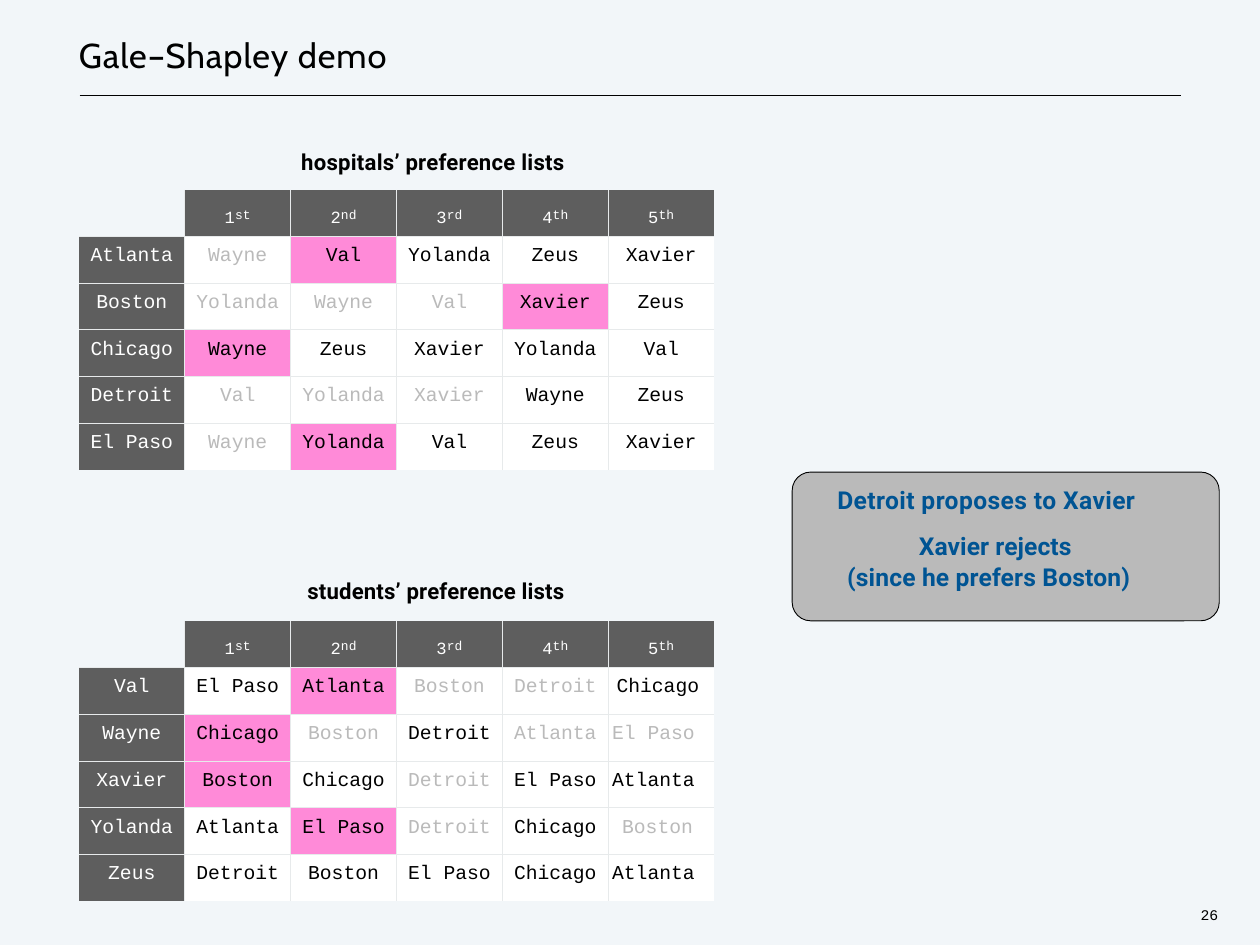
import dataclasses

import lxml.etree
import pptx
import pptx.dml.color
import pptx.enum.shapes
import pptx.enum.text
import pptx.oxml.ns
import pptx.util

Inches = pptx.util.Inches
Pt = pptx.util.Pt
ALIGN = pptx.enum.text.PP_ALIGN

BLACK, WHITE, DARK, GREY = "000000", "FFFFFF", "5E5E5E", "BABABA"
PAPER, PINK, GRID, BLUE = "F2F6F9", "FF8AD8", "E7EAEB", "005493"
MONO = "Courier New"
ORDINALS = ["st", "nd", "rd", "th", "th"]


@dataclasses.dataclass
class PreferenceTable:
    """Each row is a name and its choices; * marks a match, ~ a rejection."""
    top: float
    rows: list[str]
    # Right margin of each name in the last column, where it is right-aligned.
    last_margins: dict[str, float] = dataclasses.field(default_factory=dict)


@dataclasses.dataclass
class Label:
    text: str
    left: float
    top: float
    width: float
    height: float
    size: float
    font: str = "Roboto"
    bold: bool = True
    spacing: float = 0.15
    space_before: float = 1


TABLES = [
    PreferenceTable(2.14, [
        "Atlanta|~Wayne|*Val|Yolanda|Zeus|Xavier",
        "Boston|~Yolanda|~Wayne|~Val|*Xavier|Zeus",
        "Chicago|*Wayne|Zeus|Xavier|Yolanda|Val",
        "Detroit|~Val|~Yolanda|~Xavier|Wayne|Zeus",
        "El Paso|~Wayne|*Yolanda|Val|Zeus|Xavier",
    ]),
    PreferenceTable(7.01, [
        "Val|El Paso|*Atlanta|~Boston|~Detroit|Chicago",
        "Wayne|*Chicago|~Boston|Detroit|~Atlanta|~El Paso",
        "Xavier|*Boston|Chicago|~Detroit|El Paso|Atlanta",
        "Yolanda|Atlanta|*El Paso|~Detroit|Chicago|~Boston",
        "Zeus|Detroit|Boston|El Paso|Chicago|Atlanta",
    ], {"Chicago": 0.17, "El Paso": 0.22, "Atlanta": 0.22, "Boston": 0.24}),
]

LABELS = [
    Label("Gale–Shapley demo", 0.88, 0.38, 3.9, 0.49, 28, "Cabin", False, 0.8),
    Label("hospitals’ preference lists", 3.39, 1.67, 3.36, 0.33, 18, spacing=0.2),
    Label("students’ preference lists", 3.46, 6.51, 3.31, 0.33, 18),
    Label("26", 13.54, 10.22, 0.29, 0.23, 12, MONO, False, 0, 0.2),
]


def rgb(color: str) -> pptx.dml.color.RGBColor:
    return pptx.dml.color.RGBColor.from_string(color)


def write(paragraph, text: str, *, size: float, color: str = BLACK, font: str = MONO,
          bold: bool = False, spacing: float = 0, baseline: int = 0) -> None:
    """Add a run; spacing is in points, baseline in percent of the size."""
    run = paragraph.add_run()
    run.text = text
    run.font.size = Pt(size)
    run.font.name = font
    run.font.bold = bold
    run.font.color.rgb = rgb(color)
    properties = run._r.get_or_add_rPr()
    properties.set("spc", str(round(spacing * 100)))
    if baseline:
        properties.set("baseline", str(baseline * 1000))


def add_text_frame(slide, left: float, top: float, width: float, height: float):
    """Add a wrapping text box with no side margins and return its frame."""
    box = slide.shapes.add_textbox(Inches(left), Inches(top), Inches(width), Inches(height))
    frame = box.text_frame
    frame.word_wrap = True
    frame.margin_left = frame.margin_right = frame.margin_bottom = 0
    frame.margin_top = Inches(0.01)
    return frame


def indent(paragraph, left: float, first: float = 0) -> None:
    properties = paragraph._p.get_or_add_pPr()
    properties.set("marL", str(Inches(left)))
    properties.set("indent", str(Inches(first)))


def add_label(slide, label: Label) -> None:
    frame = add_text_frame(slide, label.left, label.top, label.width, label.height)
    paragraph = frame.paragraphs[0]
    paragraph.space_before = Pt(label.space_before)
    indent(paragraph, 0.01)
    write(paragraph, label.text, size=label.size, font=label.font,
          bold=label.bold, spacing=label.spacing)


def set_borders(cell, inner_sides: dict[str, bool]) -> None:
    """Draw a grid line on each inner side and none on the outer ones."""
    qn = pptx.oxml.ns.qn
    properties = cell._tc.get_or_add_tcPr()
    for position, (side, inner) in enumerate(inner_sides.items()):
        line = lxml.etree.Element(qn(f"a:ln{side}"), w=str(Pt(1)))
        if inner:
            fill = lxml.etree.SubElement(line, qn("a:solidFill"))
            lxml.etree.SubElement(fill, qn("a:srgbClr"), val=GRID)
        else:
            lxml.etree.SubElement(line, qn("a:noFill"))
        properties.insert(position, line)


def fill_cell(cell, entry: str, row: int, column: int, last_margins: dict[str, float]) -> None:
    cell.margin_left = cell.margin_right = cell.margin_bottom = 0
    cell.margin_top = Inches(0.1 if row else 0.06)
    paragraph = cell.text_frame.paragraphs[0]
    paragraph.alignment = ALIGN.CENTER
    paragraph.space_before = Pt(7 if row else 4.1)
    background = DARK
    if row == 0 and column == 0:
        background = PAPER
    elif row == 0:
        write(paragraph, str(column), size=24, color=WHITE, spacing=0.1, baseline=-14)
        write(paragraph, ORDINALS[column - 1], size=10.5, color=WHITE, spacing=0.1)
    else:
        name = entry.lstrip("*~")
        color = WHITE
        if column:
            background = PINK if entry.startswith("*") else WHITE
            color = GREY if entry.startswith("~") else BLACK
        if column == len(ORDINALS) and name in last_margins:
            paragraph.alignment = ALIGN.RIGHT
            cell.margin_right = Inches(last_margins[name])
        write(paragraph, name, size=16, color=color)
    cell.fill.solid()
    cell.fill.fore_color.rgb = rgb(background)


def add_preferences(slide, preferences: PreferenceTable) -> None:
    lines = [[""] * 6] + [row.split("|") for row in preferences.rows]
    table = slide.shapes.add_table(6, 6, Inches(0.89), Inches(preferences.top),
                                   Inches(7.17), Inches(3.17)).table
    table.first_row = table.horz_banding = False
    for row, line in enumerate(lines):
        for column, entry in enumerate(line):
            cell = table.cell(row, column)
            fill_cell(cell, entry, row, column, preferences.last_margins)
            set_borders(cell, {"L": column > 0, "R": column < 5, "T": row > 0, "B": row < 5})


def add_title_rule(slide) -> None:
    rule = slide.shapes.add_connector(pptx.enum.shapes.MSO_CONNECTOR.STRAIGHT,
                                      Inches(0.9), Inches(1.08), Inches(13.33), Inches(1.08))
    rule.line.color.rgb = rgb(BLACK)
    rule.line.width = Pt(1)
    lxml.etree.SubElement(rule._element.spPr, pptx.oxml.ns.qn("a:effectLst"))


def add_step(slide) -> None:
    """Draw the panel that tells the current step of the algorithm."""
    panel = slide.shapes.add_shape(pptx.enum.shapes.MSO_SHAPE.ROUNDED_RECTANGLE,
                                   Inches(8.94), Inches(5.33), Inches(4.82), Inches(1.68))
    panel.adjustments[0] = 0.125
    panel.shadow.inherit = False
    panel.fill.solid()
    panel.fill.fore_color.rgb = rgb(GREY)
    panel.line.color.rgb = rgb(BLACK)
    panel.line.width = Pt(0.75)

    style = dict(size=20, color=BLUE, font="Roboto", bold=True)
    frame = add_text_frame(slide, 9.44, 5.29, 3.81, 1.4)
    proposal, reason = frame.paragraphs[0], frame.add_paragraph()
    proposal.line_spacing = 1.54
    proposal.space_before = reason.space_before = Pt(1)
    indent(proposal, 0.93, -0.92)
    indent(reason, 0.12)
    write(proposal, "Detroit proposes to Xavier", spacing=0.3, **style)
    proposal.add_line_break()
    write(proposal, "Xavier rejects", spacing=0.05, **style)
    write(reason, "(since he prefers Boston)", spacing=0.1, **style)


def main() -> None:
    deck = pptx.Presentation()
    deck.slide_width, deck.slide_height = Inches(14.22), Inches(10.67)
    slide = deck.slides.add_slide(deck.slide_layouts[6])
    slide.background.fill.solid()
    slide.background.fill.fore_color.rgb = rgb(PAPER)
    add_title_rule(slide)
    for preferences in TABLES:
        add_preferences(slide, preferences)
    add_step(slide)
    for label in LABELS:
        add_label(slide, label)
    deck.save("out.pptx")


if __name__ == "__main__":
    main()
